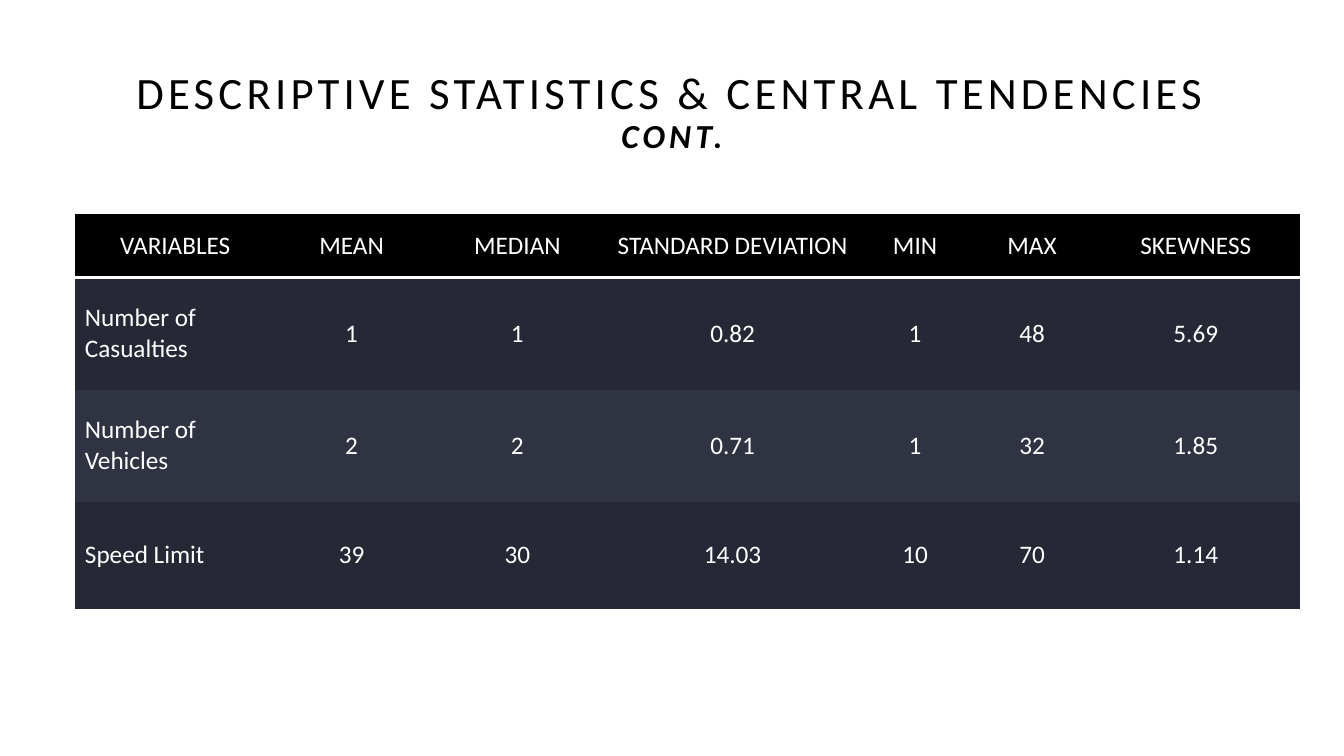
from lxml import etree
from pptx import Presentation
from pptx.dml.color import RGBColor
from pptx.enum.text import MSO_ANCHOR, PP_ALIGN
from pptx.oxml.ns import qn
from pptx.util import Pt

LEFT, CENTER = PP_ALIGN.LEFT, PP_ALIGN.CENTER
MIDDLE = MSO_ANCHOR.MIDDLE
FONT = "Calibri"
NO_STYLE_NO_GRID = "{2D5ABB26-0587-4C30-8999-92F81FD0307C}"
COLORS = {"black": "000000", "white": "FFFFFF", "dark": "262935", "light": "2F3342"}

COL_WIDTHS = [143.3, 108.7, 128.2, 179.3, 81.4, 85.7, 148.3]
ROW_HEIGHTS = [45.4, 80, 80, 76.5]
STATISTICS = [
    ["VARIABLES", "MEAN", "MEDIAN", "STANDARD DEVIATION", "MIN", "MAX", "SKEWNESS"],
    ["Number of Casualties", "1", "1", "0.82", "1", "48", "5.69"],
    ["Number of Vehicles", "2", "2", "0.71", "1", "32", "1.85"],
    ["Speed Limit", "39", "30", "14.03", "10", "70", "1.14"],
]


def rgb(name):
    """Return the named colour."""
    return RGBColor.from_string(COLORS[name])


def style_run(r, size, color):
    """Set the font, size and colour of a run."""
    r.font.name = FONT
    r.font.size = Pt(size)
    r.font.color.rgb = rgb(color)


def add_bottom_border(cell, color, width):
    """Draw a solid line under a table cell."""
    ln = etree.Element(qn("a:lnB"), w=str(Pt(width)))
    fill = etree.SubElement(ln, qn("a:solidFill"))
    etree.SubElement(fill, qn("a:srgbClr"), val=COLORS[color])
    cell._tc.get_or_add_tcPr().insert(0, ln)


def add_title(s, x, y, w, h):
    """Place the spaced title with its smaller continuation mark."""
    tf = s.shapes.add_textbox(Pt(x), Pt(y), Pt(w), Pt(h)).text_frame
    tf.word_wrap = True
    tf.vertical_anchor = MIDDLE
    p = tf.paragraphs[0]
    p.text = "DESCRIPTIVE STATISTICS & CENTRAL TENDENCIES "
    p.alignment = CENTER
    p.line_spacing = 0.9
    mark = p.add_run()
    mark.text = "CONT."
    mark.font.bold = mark.font.italic = True
    for r, size in zip(p.runs, (32, 24)):
        style_run(r, size, "black")
        r.font._element.set("spc", "300")


def add_statistics_table(s, x, y, w, h):
    """Place the table of statistics with a black header and banded rows."""
    frame = s.shapes.add_table(len(STATISTICS), len(COL_WIDTHS), Pt(x), Pt(y), Pt(w), Pt(h))
    table = frame.table
    table._tbl.tblPr.find(qn("a:tableStyleId")).text = NO_STYLE_NO_GRID
    for column, width in zip(table.columns, COL_WIDTHS):
        column.width = Pt(width)
    for i, (row, height, values) in enumerate(zip(table.rows, ROW_HEIGHTS, STATISTICS)):
        row.height = Pt(height)
        fill = "black" if i == 0 else ("light", "dark")[i % 2]
        for j, (cell, value) in enumerate(zip(row.cells, values)):
            cell.fill.solid()
            cell.fill.fore_color.rgb = rgb(fill)
            cell.vertical_anchor = MIDDLE
            p = cell.text_frame.paragraphs[0]
            p.text = value
            p.alignment = LEFT if i and j == 0 else CENTER
            style_run(p.runs[0], 18, "white")
            if i == 0:
                add_bottom_border(cell, "white", 2)


def main():
    """Build and save the slide."""
    prs = Presentation()
    prs.slide_width, prs.slide_height = Pt(960), Pt(540)
    s = prs.slides.add_slide(prs.slide_layouts[6])
    add_title(s, 66, 29, 828, 104)
    add_statistics_table(s, 53.5, 152.9, sum(COL_WIDTHS), sum(ROW_HEIGHTS))
    prs.save("out.pptx")


if __name__ == "__main__":
    main()
